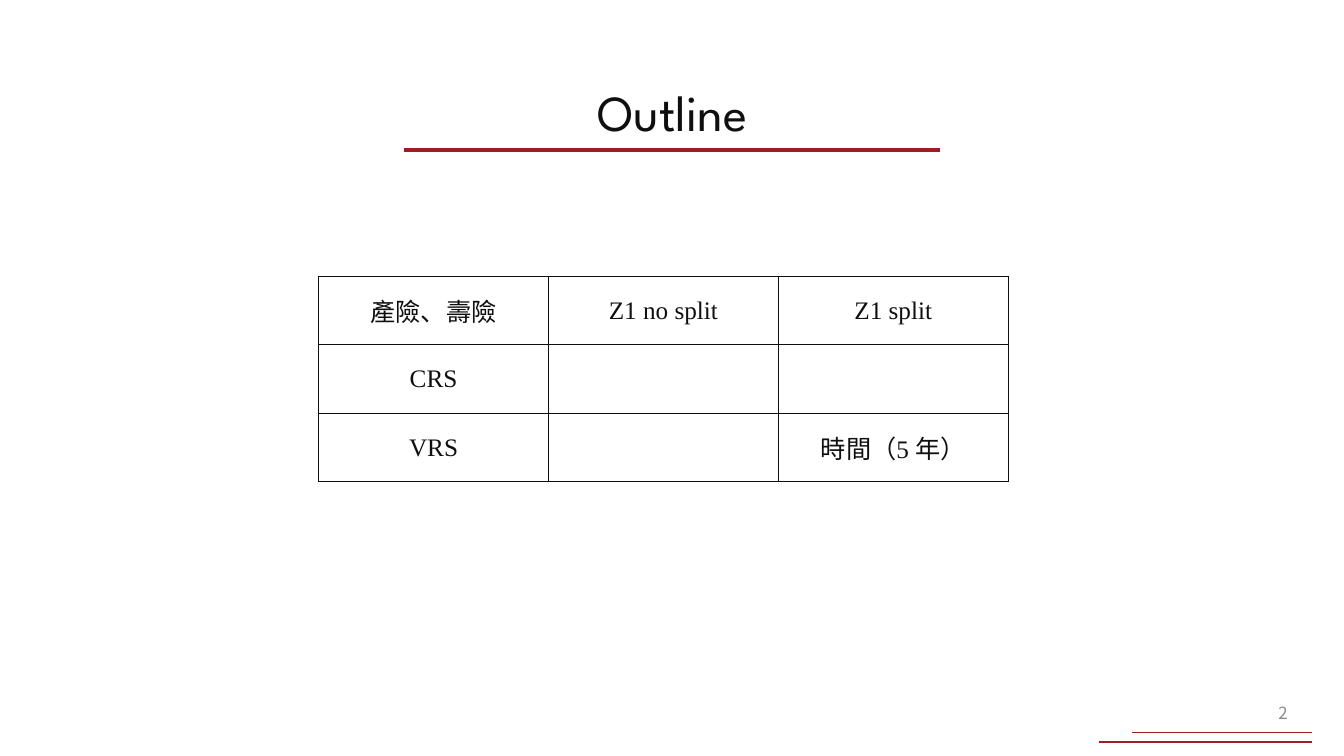
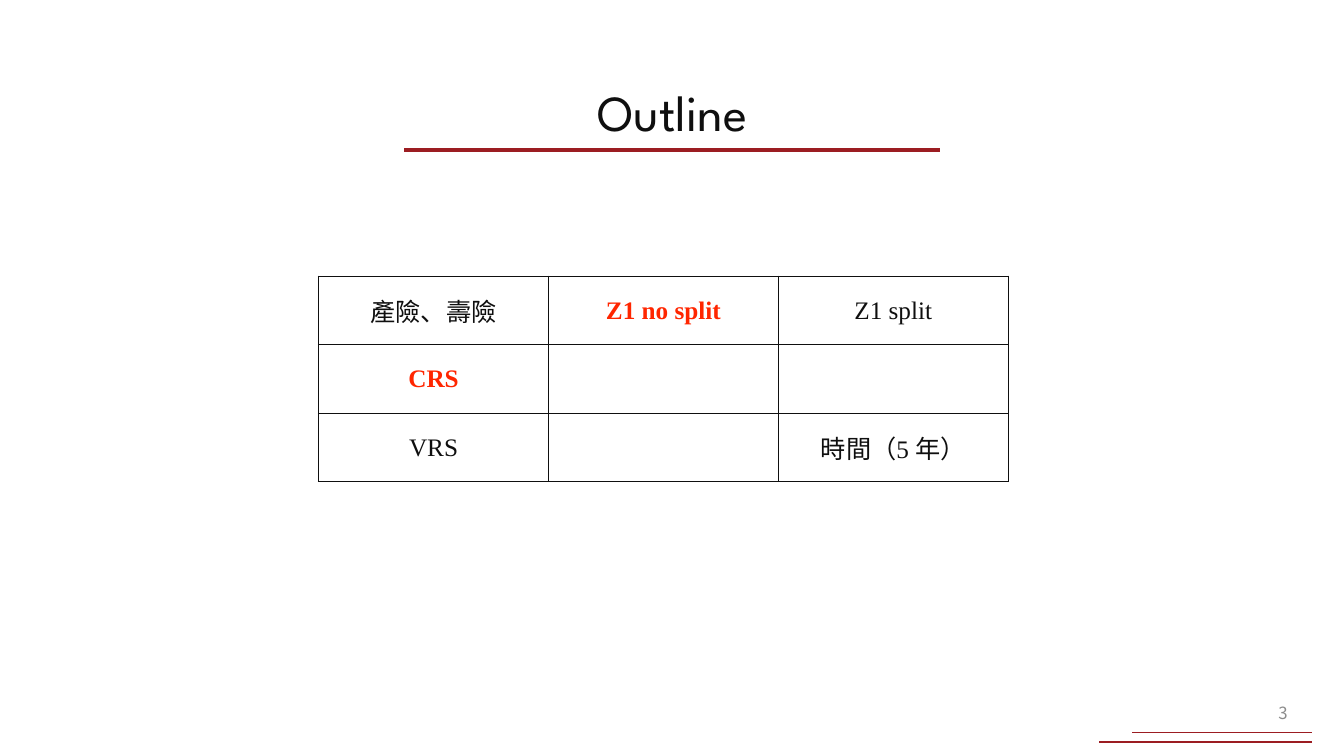
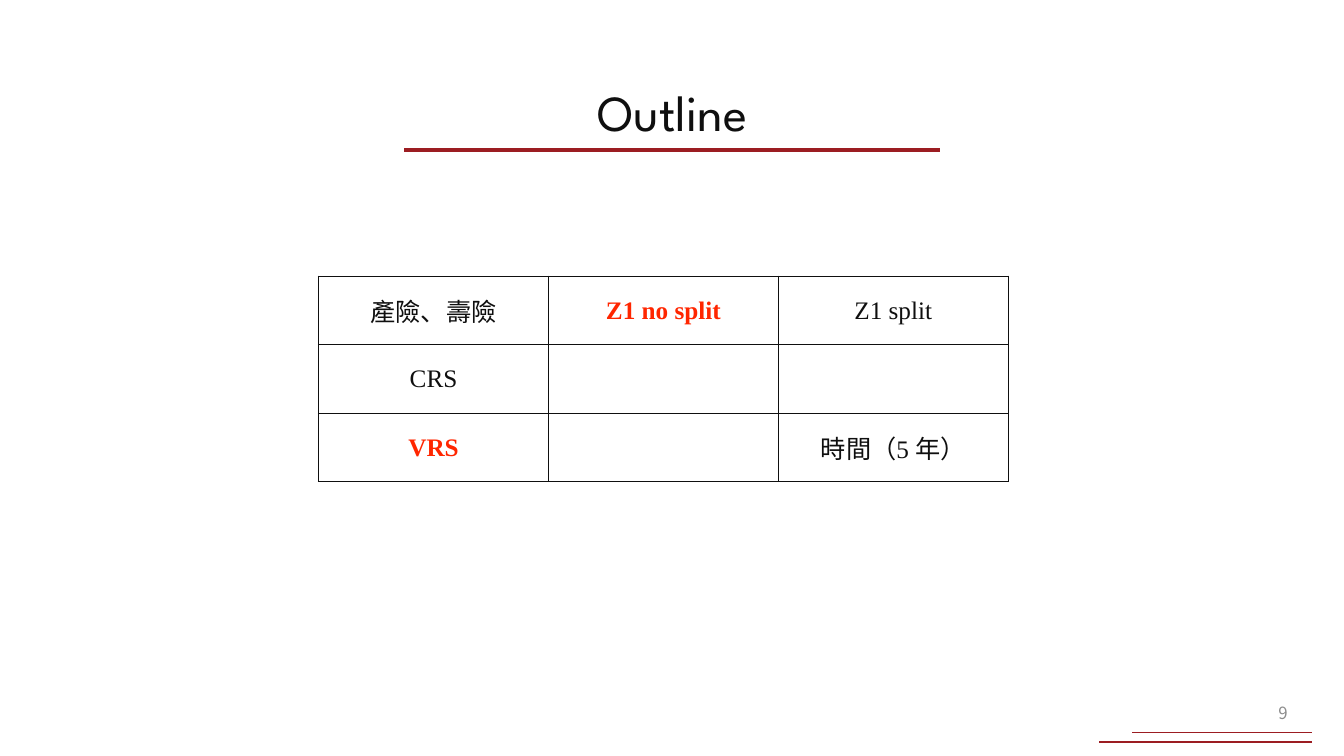
"""Build three outline slides that share a title, rules and a model table."""
from dataclasses import dataclass

from lxml import etree
from pptx import Presentation
from pptx import util as u
from pptx.dml.color import RGBColor
from pptx.enum import shapes, text
from pptx.oxml.ns import qn

EMU_PER_PX = 9144
WHITE, INK, RED, GREY, HIGHLIGHT = "FFFFFF", "0F0F0F", "9C1D22", "8C8C8C", "FF2600"
TITLE_FONT, NUMBER_FONT, TABLE_FONT = "League Spartan", "Noto Sans CJK TC", "Times New Roman"
TABLE_LEFT, TABLE_TOP, COL_WIDTH, ROW_HEIGHT = 316, 274, 228, 68
CELLS = (
    ("產險、壽險", "Z1 no split", "Z1 split"),
    ("CRS", "", ""),
    ("VRS", "", "時間（5 年）"),
)


@dataclass(frozen=True)
class Rule:
    left: int
    right: int
    y: int
    weight: float


@dataclass(frozen=True)
class Outline:
    number: int
    highlights: tuple[str, ...] = ()


RULES = (Rule(401, 932, 149, 2.5), Rule(1090, 1301, 736, 1.5), Rule(1123, 1301, 727, 1))
OUTLINES = (
    Outline(2),
    Outline(3, ("Z1 no split", "CRS")),
    Outline(9, ("Z1 no split", "VRS")),
)


def px(n: int) -> u.Emu:
    return u.Emu(n * EMU_PER_PX)


def rgb(color: str) -> RGBColor:
    return RGBColor.from_string(color)


def write(tf, words: str, font: str, size: int, color: str, align, bold: bool = False) -> None:
    p = tf.paragraphs[0]
    p.text = words
    p.alignment = align
    p.font.name, p.font.size, p.font.bold = font, u.Pt(size), bold
    p.font.color.rgb = rgb(color)


def add_rule(s, rule: Rule) -> None:
    line = s.shapes.add_connector(
        shapes.MSO_CONNECTOR.STRAIGHT, px(rule.left), px(rule.y), px(rule.right), px(rule.y))
    line.line.color.rgb = rgb(RED)
    line.line.width = u.Pt(rule.weight)
    etree.SubElement(line._element.spPr, qn("a:effectLst"))


def set_title(s, words: str) -> None:
    sp = s.shapes.title
    sp.left, sp.top, sp.width, sp.height = px(569), px(75), px(196), px(71)
    tf = sp.text_frame
    tf.word_wrap = False
    tf.auto_size = text.MSO_AUTO_SIZE.SHAPE_TO_FIT_TEXT
    tf.vertical_anchor = text.MSO_ANCHOR.TOP
    write(tf, words, TITLE_FONT, 36, INK, text.PP_ALIGN.CENTER)


def add_number(s, number: int) -> None:
    tf = s.shapes.add_textbox(px(1140), px(687), px(147), px(40)).text_frame
    tf.word_wrap = True
    tf.vertical_anchor = text.MSO_ANCHOR.MIDDLE
    write(tf, str(number), NUMBER_FONT, 12, GREY, text.PP_ALIGN.RIGHT)


def add_borders(cell) -> None:
    tc_pr = cell._tc.get_or_add_tcPr()
    for i, side in enumerate(("lnL", "lnR", "lnT", "lnB")):
        ln = etree.Element(qn(f"a:{side}"), w=str(u.Pt(1)))
        fill = etree.SubElement(ln, qn("a:solidFill"))
        etree.SubElement(fill, qn("a:srgbClr"), val=INK)
        tc_pr.insert(i, ln)


def add_model_table(s, highlights: tuple[str, ...]) -> None:
    rows, cols = len(CELLS), len(CELLS[0])
    table = s.shapes.add_table(
        rows, cols, px(TABLE_LEFT), px(TABLE_TOP),
        px(cols * COL_WIDTH), px(rows * ROW_HEIGHT)).table
    table.first_row = table.horz_banding = False
    for r, row in enumerate(CELLS):
        for c, words in enumerate(row):
            cell = table.cell(r, c)
            cell.fill.background()
            cell.vertical_anchor = text.MSO_ANCHOR.MIDDLE
            add_borders(cell)
            if words:
                bold = words in highlights
                write(cell.text_frame, words, TABLE_FONT, 18,
                      HIGHLIGHT if bold else INK, text.PP_ALIGN.CENTER, bold)


def add_outline(prs, outline: Outline) -> None:
    s = prs.slides.add_slide(prs.slide_layouts[5])
    s.background.fill.solid()
    s.background.fill.fore_color.rgb = rgb(WHITE)
    for rule in RULES:
        add_rule(s, rule)
    set_title(s, "Outline")
    add_number(s, outline.number)
    add_model_table(s, outline.highlights)


def main() -> None:
    prs = Presentation()
    prs.slide_width, prs.slide_height = px(1333), px(750)
    for outline in OUTLINES:
        add_outline(prs, outline)
    prs.save("out.pptx")


if __name__ == "__main__":
    main()
